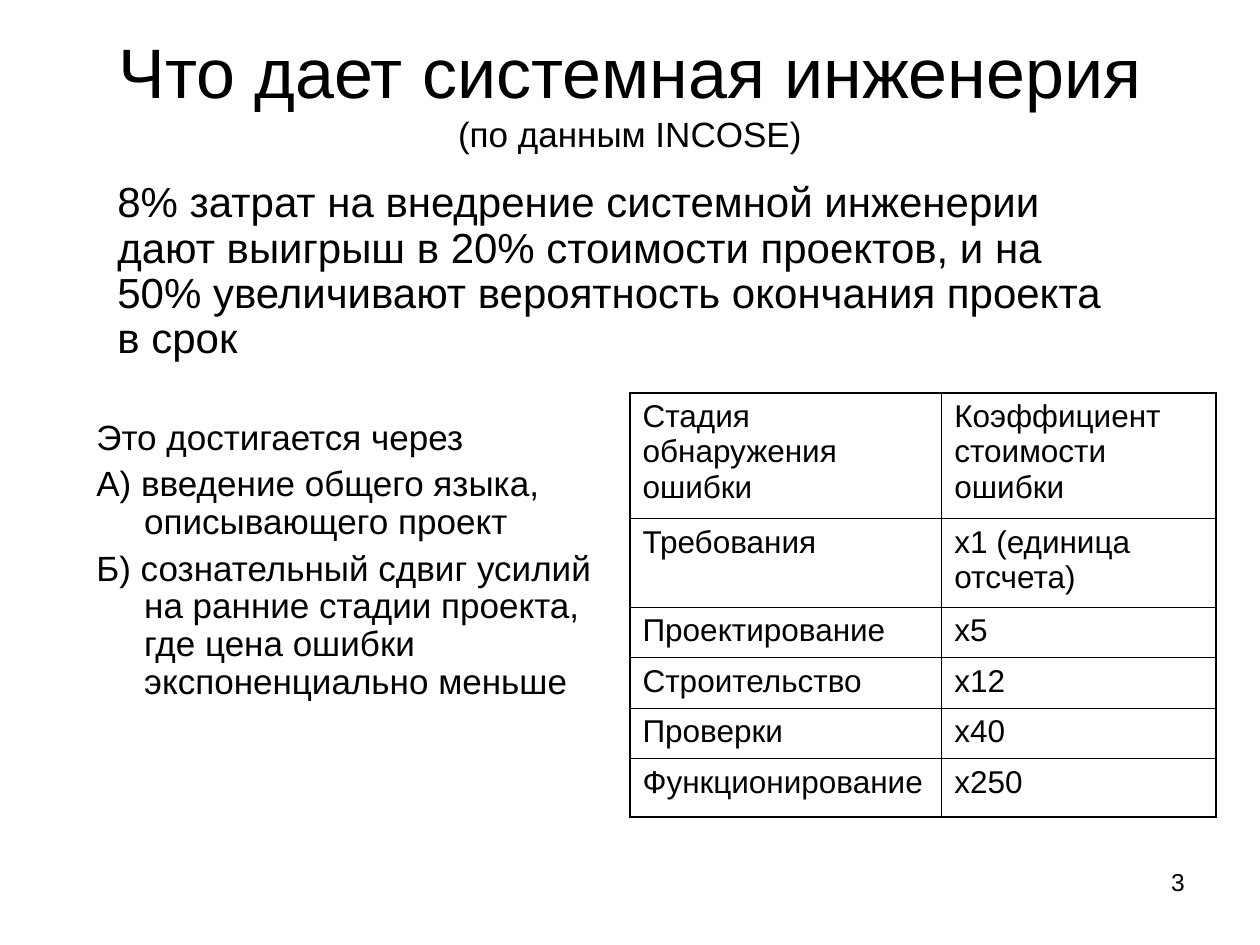
import pptx
import pptx.dml.color
import pptx.enum.text
import pptx.oxml.ns
import pptx.util
import lxml.etree

BLACK = pptx.dml.color.RGBColor(0x00, 0x00, 0x00)
WHITE = pptx.dml.color.RGBColor(0xFF, 0xFF, 0xFF)
ALIGN = pptx.enum.text.PP_ALIGN
ANCHOR = pptx.enum.text.MSO_ANCHOR
UNIT = pptx.util.Inches(1 / 12)  # side of one grid square: 120 columns, 90 rows
OUTER, INNER = 1.08, 0.45  # table line widths in points

STAGES = [
    ("Стадия обнаружения ошибки", "Коэффициент стоимости ошибки"),
    ("Требования", "x1 (единица отсчета)"),
    ("Проектирование", "x5"),
    ("Строительство", "x12"),
    ("Проверки", "x40"),
    ("Функционирование", "x250"),
]
COLUMN_WIDTHS = [29.7, 26.1]
ROW_HEIGHTS = [12, 8.4, 4.8, 4.8, 4.8, 5.6]


def grid(count):
    return round(count * UNIT)


def write(para, text, size, font="Arial", color=BLACK, align=ALIGN.LEFT,
          line=1.0, before=0, hanging=0):
    """Append a formatted span; hanging is the hanging indent in inches."""
    para.alignment = align
    para.line_spacing = line
    para.space_before = pptx.util.Pt(before)
    if hanging:
        indent = pptx.util.Inches(hanging)
        properties = para._p.get_or_add_pPr()
        properties.set("marL", str(indent))
        properties.set("indent", str(-indent))
    span = para.add_run()
    span.text = text
    span.font.name = font
    span.font.size = pptx.util.Pt(size)
    span.font.color.rgb = color


def draw_border(cell, side, width):
    properties = cell._tc.get_or_add_tcPr()
    tag = pptx.oxml.ns.qn
    edge = lxml.etree.SubElement(properties, tag(f"a:ln{side}"),
                                 w=str(pptx.util.Pt(width)))
    fill = lxml.etree.SubElement(edge, tag("a:solidFill"))
    lxml.etree.SubElement(fill, tag("a:srgbClr"), val=str(BLACK))


class Page:
    def __init__(self, deck):
        self.slide = deck.slides.add_slide(deck.slide_layouts[6])
        self.slide.background.fill.solid()
        self.slide.background.fill.fore_color.rgb = WHITE

    def text_frame(self, left, top, width, height, anchor=ANCHOR.TOP):
        box = self.slide.shapes.add_textbox(*map(grid, (left, top, width, height)))
        box.text_frame.word_wrap = True
        box.text_frame.vertical_anchor = anchor
        return box.text_frame

    def title(self, place, heading, subtitle):
        para = self.text_frame(*place, anchor=ANCHOR.MIDDLE).paragraphs[0]
        write(para, heading, 40, align=ALIGN.CENTER)
        para.add_line_break()
        write(para, subtitle, 20, align=ALIGN.CENTER)

    def text(self, place, lines, size, before=0, **style):
        frame = self.text_frame(*place)
        for index, line in enumerate(lines):
            para = frame.add_paragraph() if index else frame.paragraphs[0]
            write(para, line, size, before=before if index else 0, **style)

    def table(self, left, top, widths, heights, rows, size):
        frame = self.slide.shapes.add_table(
            len(heights), len(widths),
            *map(grid, (left, top, sum(widths), sum(heights))))
        table = frame.table
        table.first_row = table.horz_banding = False
        for column, width in zip(table.columns, widths):
            column.width = grid(width)
        for row, height in zip(table.rows, heights):
            row.height = grid(height)
        last_row, last_column = len(heights) - 1, len(widths) - 1
        for r, values in enumerate(rows):
            for c, value in enumerate(values):
                cell = table.cell(r, c)
                write(cell.text_frame.paragraphs[0], value, size)
                outer_sides = {"L": c == 0, "R": c == last_column,
                               "T": r == 0, "B": r == last_row}
                for side, is_outer in outer_sides.items():
                    draw_border(cell, side, OUTER if is_outer else INNER)
                cell.fill.background()


def main():
    deck = pptx.Presentation()
    deck.slide_width, deck.slide_height = grid(120), grid(90)
    page = Page(deck)
    page.title((6, 3.6, 108, 10.2), "Что дает системная инженерия",
               "(по данным INCOSE)")
    page.text((8, 39.4, 53, 35.4), [
        "Это достигается через",
        "А) введение общего языка, описывающего проект",
        "Б) сознательный сдвиг усилий на ранние стадии проекта, "
        "где цена ошибки экспоненциально меньше",
    ], 20, line=0.9, before=5, hanging=0.38)
    page.table(60, 37.4, COLUMN_WIDTHS, ROW_HEIGHTS, STAGES, 18)
    page.text((10, 16.7, 99.2, 18.5), [
        "8% затрат на внедрение сиcтемной инженерии дают выигрыш в 20% "
        "стоимости проектов, и на 50% увеличивают вероятность окончания "
        "проекта в срок",
    ], 24, line=0.9)
    page.text((86, 82, 28, 6.2), ["3"], 14, align=ALIGN.RIGHT)
    deck.save("out.pptx")


if __name__ == "__main__":
    main()
